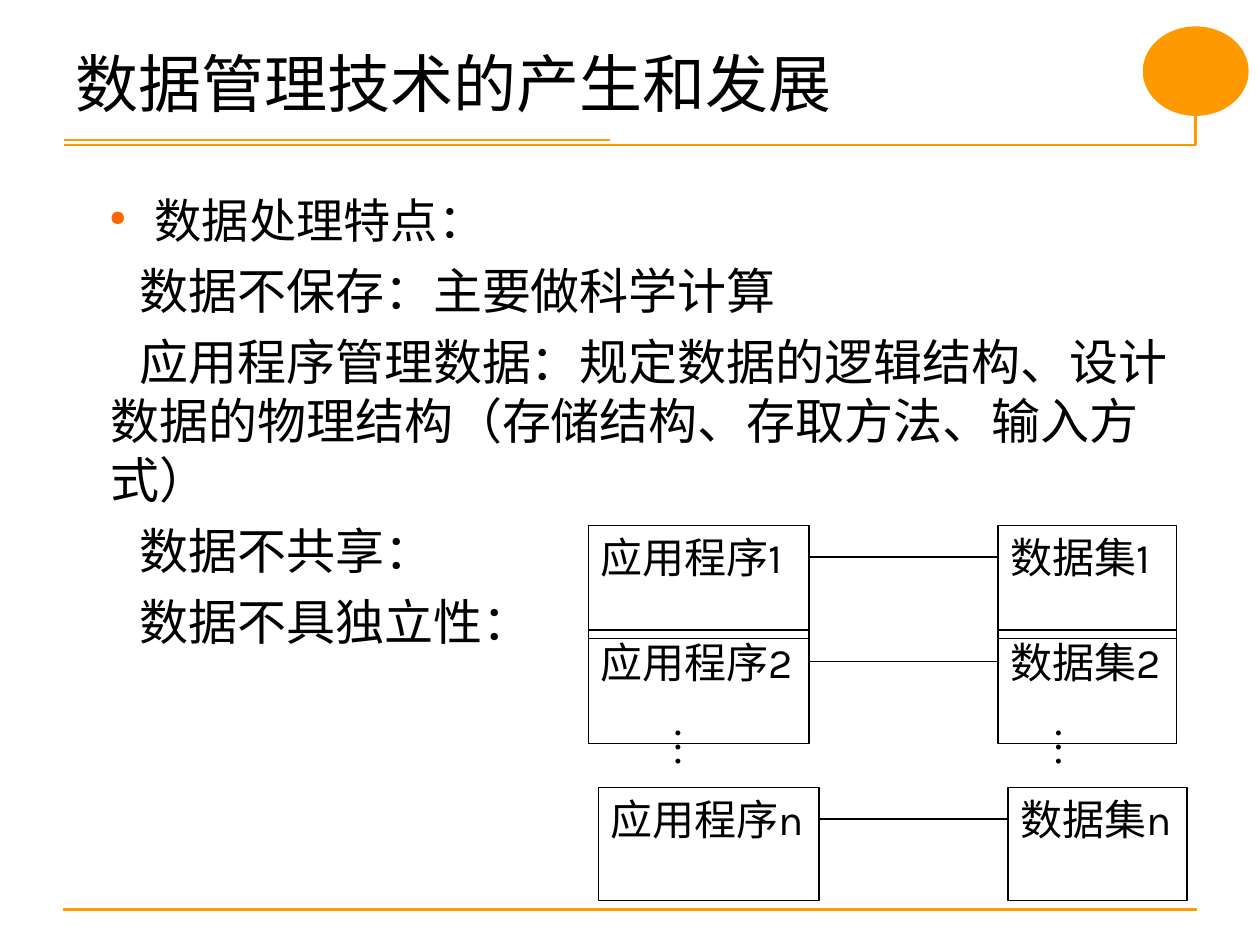
"""Build the slide on how data management technology emerged and developed."""
from dataclasses import dataclass

from lxml import etree
from pptx import Presentation
from pptx.dml.color import RGBColor
from pptx.enum import shapes, text
from pptx.oxml.ns import qn
from pptx.util import Inches, Pt


@dataclass(frozen=True)
class Theme:
    ink: str = "000000"
    accent: str = "FF9900"
    bullet: str = "FF6600"
    body_font: str = "Arial"
    title_font: str = "Times New Roman"
    box_font: str = "Karla"
    title_size: int = 36
    heading_size: int = 27
    body_size: int = 28
    box_size: int = 24
    rule_width: float = 1.5
    box_line: float = 0.75


THEME = Theme()
TITLE = "数据管理技术的产生和发展"
HEADING = "数据处理特点："
POINTS = [
    "数据不保存：主要做科学计算",
    "应用程序管理数据：规定数据的逻辑结构、设计数据的物理结构（存储结构、存取方法、输入方式）",
    "数据不共享：",
    "数据不具独立性：",
]
RULES = [
    (0.5, 7.22, 9.5, 7.22),
    (0.51, 1.15, 9.49, 1.15),
    (9.49, 0.28, 9.49, 1.15),
    (0.51, 1.11, 4.84, 1.11),
]
PAIRS = [("1", 4.67, 4.17), ("2", 4.67, 5), ("n", 4.75, 6.25)]
PROGRAM, DATA_SET = "应用程序", "数据集"
PROGRAM_WIDTH, DATA_WIDTH, BOX_HEIGHT = 1.75, 1.42, 0.9
LINK_LENGTH, LINK_DROP = 1.5, 0.25
ELLIPSIS_LEFTS = [5.15, 8.17]


def color(value):
    return RGBColor.from_string(value)


def add_run(paragraph, content, size, font):
    run = paragraph.add_run()
    run.text = content
    run.font.size = Pt(size)
    run.font.name = font
    run.font.color.rgb = color(THEME.ink)


def set_frame(frame, insets=(0.1, 0.05)):
    frame.word_wrap = True
    frame.auto_size = text.MSO_AUTO_SIZE.NONE
    frame.vertical_anchor = text.MSO_ANCHOR.TOP
    frame.margin_left = frame.margin_right = Inches(insets[0])
    frame.margin_top = frame.margin_bottom = Inches(insets[1])


def set_indent(paragraph, left, first):
    properties = paragraph._p.get_or_add_pPr()
    properties.set("marL", str(Inches(left)))
    properties.set("indent", str(Inches(first)))
    return properties


def add_line(slide, ends, ink, width):
    line = slide.shapes.add_connector(
        shapes.MSO_CONNECTOR.STRAIGHT, *[Inches(value) for value in ends])
    line.line.color.rgb = color(ink)
    line.line.width = Pt(width)
    etree.SubElement(line._element.spPr, qn("a:effectLst"))


def add_box(slide, label, left, top, width):
    box = slide.shapes.add_shape(
        shapes.MSO_SHAPE.RECTANGLE, Inches(left), Inches(top), Inches(width), Inches(BOX_HEIGHT))
    box.shadow.inherit = False
    box.fill.background()
    box.line.color.rgb = color(THEME.ink)
    box.line.width = Pt(THEME.box_line)
    set_frame(box.text_frame)
    paragraph = box.text_frame.paragraphs[0]
    paragraph.alignment = text.PP_ALIGN.LEFT
    add_run(paragraph, label, THEME.box_size, THEME.box_font)


def add_corner_oval(slide):
    oval = slide.shapes.add_shape(
        shapes.MSO_SHAPE.OVAL, Inches(9.07), Inches(0.21), Inches(0.84), Inches(0.71))
    oval.shadow.inherit = False
    oval.fill.solid()
    oval.fill.fore_color.rgb = color(THEME.accent)
    oval.line.fill.background()


def add_title(slide):
    title = slide.shapes.title
    title.left, title.top = Inches(0.5), Inches(0.3)
    title.width, title.height = Inches(9), Inches(0.85)
    set_frame(title.text_frame)
    paragraph = title.text_frame.paragraphs[0]
    paragraph.alignment = text.PP_ALIGN.LEFT
    add_run(paragraph, TITLE, THEME.title_size, THEME.title_font)


def add_body(slide):
    body = slide.shapes.add_textbox(Inches(0.4), Inches(1.47), Inches(9.13), Inches(4.96))
    set_frame(body.text_frame)
    heading = body.text_frame.paragraphs[0]
    properties = set_indent(heading, 0.73, -0.36)
    bullet_color = etree.SubElement(properties, qn("a:buClr"))
    etree.SubElement(bullet_color, qn("a:srgbClr"), val=THEME.bullet)
    etree.SubElement(properties, qn("a:buSzPct"), val="45000")
    etree.SubElement(properties, qn("a:buChar"), char="●")
    add_run(heading, HEADING, THEME.heading_size, THEME.body_font)
    for point in POINTS:
        paragraph = body.text_frame.add_paragraph()
        set_indent(paragraph, 0.38, 0.23)
        paragraph.space_before = Pt(7)
        add_run(paragraph, point, THEME.body_size, THEME.body_font)


def add_ellipsis(slide, left):
    box = slide.shapes.add_textbox(Inches(left), Inches(5.67), Inches(0.6), Inches(0.5))
    set_frame(box.text_frame, insets=(0.05, 0.1))
    box.text_frame._txBody.bodyPr.set("vert", "eaVert")
    add_run(box.text_frame.paragraphs[0], "…", THEME.box_size, THEME.title_font)


def main():
    presentation = Presentation()
    presentation.slide_width, presentation.slide_height = Inches(10), Inches(7.5)
    slide = presentation.slides.add_slide(presentation.slide_layouts[5])
    for ends in RULES:
        add_line(slide, ends, THEME.accent, THEME.rule_width)
    add_corner_oval(slide)
    add_title(slide)
    add_body(slide)
    for name, left, top in PAIRS:
        link_left = left + PROGRAM_WIDTH
        link_right = link_left + LINK_LENGTH
        link_top = top + LINK_DROP
        add_box(slide, PROGRAM + name, left, top, PROGRAM_WIDTH)
        add_box(slide, DATA_SET + name, link_right, top, DATA_WIDTH)
        add_line(slide, (link_left, link_top, link_right, link_top), THEME.ink, THEME.box_line)
    for left in ELLIPSIS_LEFTS:
        add_ellipsis(slide, left)
    presentation.save("out.pptx")


if __name__ == "__main__":
    main()
